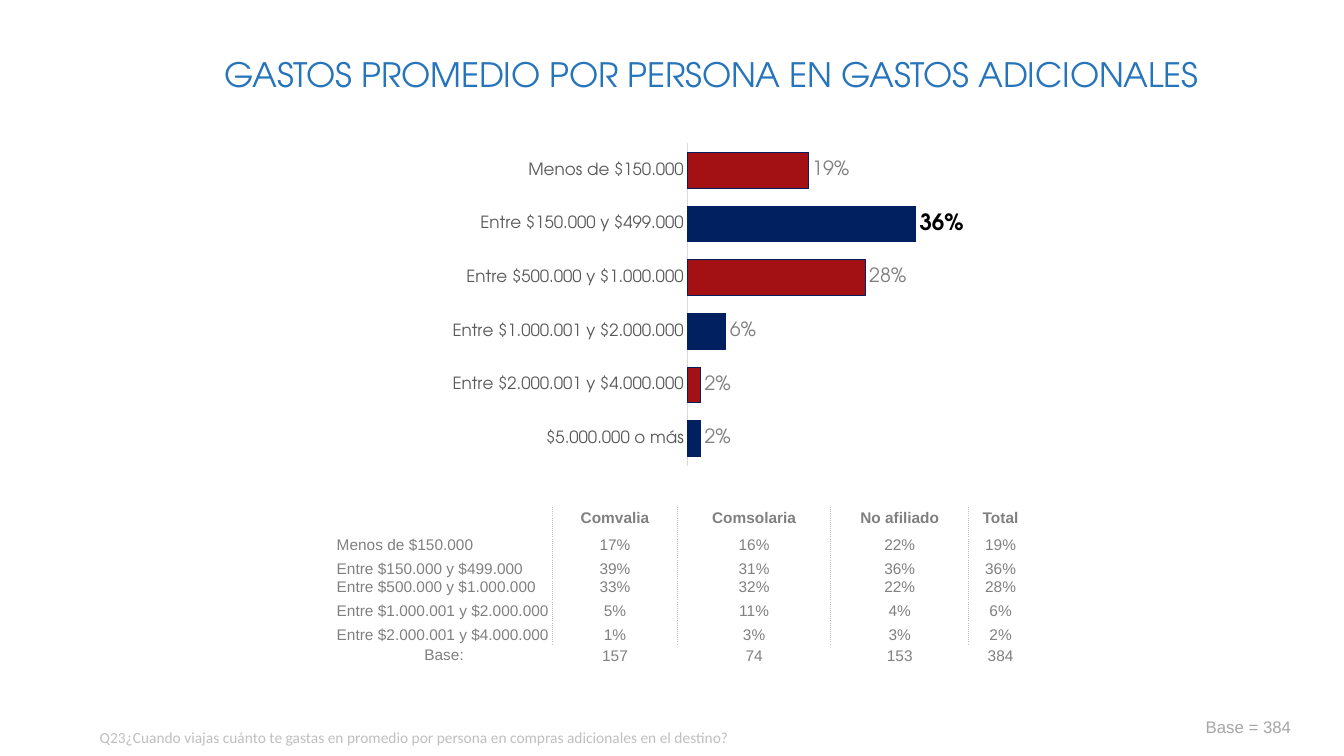
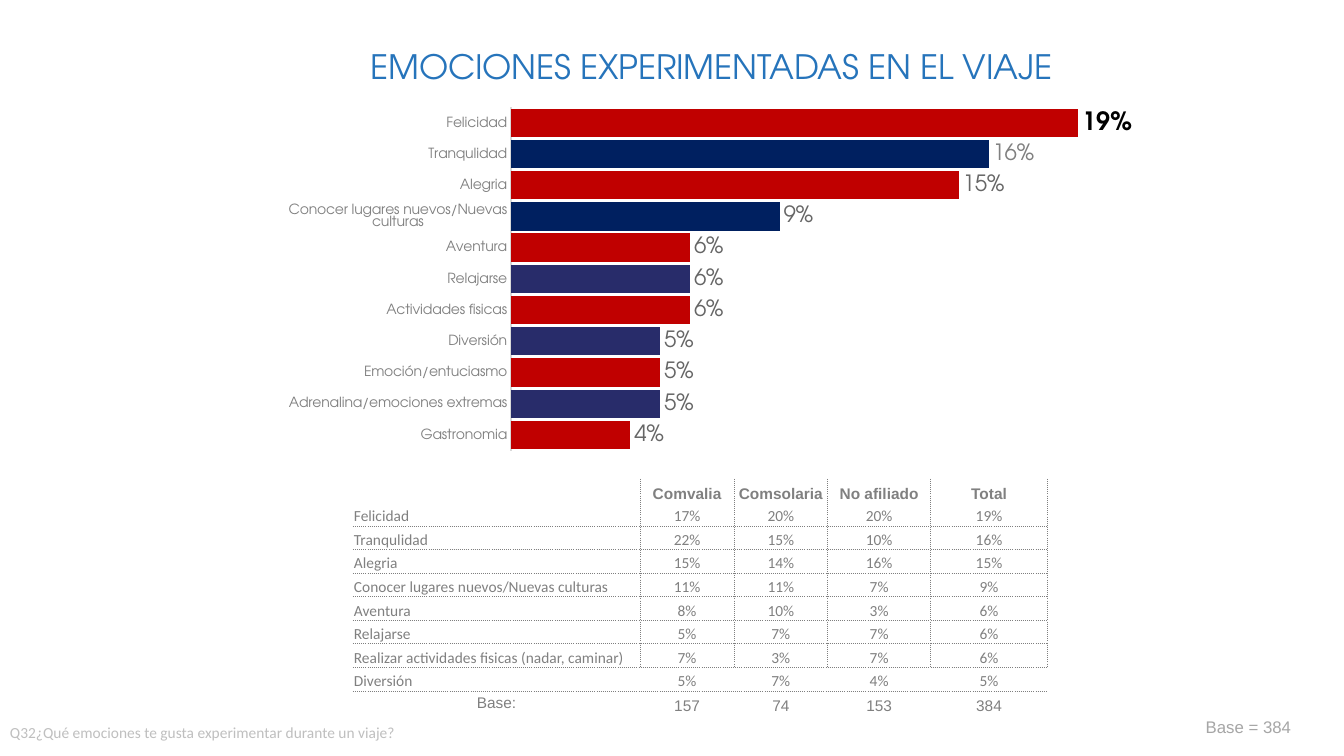
"""Build two survey result slides, each with a bar chart and a breakdown table."""
from dataclasses import dataclass
from typing import Any

from lxml import etree
from pptx import Presentation
from pptx import util as u
from pptx.chart import data as chart_data
from pptx.dml import color as dml
from pptx.enum import chart as ch
from pptx.enum import text as tx
from pptx.oxml import ns


@dataclass(frozen=True)
class Theme:
    display: str = "TeX Gyre Adventor"
    plain: str = "Arial"
    body: str = "Calibri"
    title: str = "2674BB"
    navy: str = "002060"
    indigo: str = "282C6A"
    crimson: str = "A31115"
    red: str = "C00000"
    black: str = "000000"
    dark: str = "595959"
    label: str = "666666"
    gray: str = "808080"
    rule: str = "7F7F7F"
    base: str = "A6A6A6"
    pale: str = "BFBFBF"
    axis: str = "D9D9D9"
    title_size: float = 24
    base_size: float = 12
    small_size: float = 11


THEME = Theme()
NO_GRID_STYLE = "{2D5ABB26-0587-4C30-8999-92F81FD0307C}"


@dataclass(frozen=True)
class Box:
    left: float
    top: float
    width: float
    height: float

    def lengths(self) -> tuple[u.Length, ...]:
        return tuple(u.Inches(v) for v in (self.left, self.top, self.width, self.height))


@dataclass(frozen=True)
class Emphasis:
    point: int
    size: float
    color: str
    bold: bool


@dataclass(frozen=True)
class BarChart:
    box: Box
    plot: tuple[float, float, float, float]
    bars: list[tuple[str, float, str]]
    maximum: float
    gap: int
    overlap: int
    reverse: bool
    outline: str | None
    category_size: float
    category_color: str
    label_size: float
    label_color: str
    emphasis: list[Emphasis]


@dataclass(frozen=True)
class Breakdown:
    left: float
    top: float
    columns: list[float]
    rows: list[float]
    body: list[tuple[str, ...]]
    body_font: str
    header_anchor: Any
    rule: tuple[str, float, str]
    ruled_columns: int
    ruled_rows: int
    horizontal: range


@dataclass(frozen=True)
class Page:
    title: str
    title_box: Box
    question: str
    question_box: Box
    chart: BarChart
    table: Breakdown


def style_font(font: Any, *, size: float, name: str, color: str, bold: bool = False) -> None:
    font.size, font.name, font.bold = u.Pt(size), name, bold
    font.color.rgb = dml.RGBColor.from_string(color)


def write_text(frame: Any, text: str, *, size: float = THEME.small_size, name: str = THEME.plain,
               color: str = THEME.gray, bold: bool = False, align: Any = tx.PP_ALIGN.LEFT,
               before: float = 0, spacing: int = 0) -> None:
    paragraph = frame.paragraphs[0]
    paragraph.alignment = align
    paragraph.space_before = u.Pt(before)
    if not text:
        etree.SubElement(paragraph._p, ns.qn("a:endParaRPr"), sz=str(int(size * 100)))
        return
    run = paragraph.add_run()
    run.text = text
    style_font(run.font, size=size, name=name, color=color, bold=bold)
    if spacing:
        run.font._element.set("spc", str(spacing))


def add_note(slide: Any, box: Box, text: str, *, size: float, name: str, color: str,
             wrap: bool) -> None:
    frame = slide.shapes.add_textbox(*box.lengths()).text_frame
    frame.word_wrap = wrap
    write_text(frame, text, size=size, name=name, color=color)


def place_title(slide: Any, page: Page) -> None:
    title = slide.shapes.title
    title.left, title.top, title.width, title.height = page.title_box.lengths()
    frame = title.text_frame
    frame.auto_size = tx.MSO_AUTO_SIZE.NONE
    frame.vertical_anchor = tx.MSO_ANCHOR.TOP
    frame.margin_left = frame.margin_right = frame.margin_bottom = 0
    frame.margin_top = u.Inches(0.01)
    write_text(frame, page.title, size=THEME.title_size, name=THEME.display, color=THEME.title,
               align=tx.PP_ALIGN.CENTER, before=1, spacing=-10)


def set_plot_area(chart: Any, plot: tuple[float, float, float, float]) -> None:
    area = chart._chartSpace.find(".//" + ns.qn("c:plotArea"))
    for old in area.findall(ns.qn("c:layout")):
        area.remove(old)
    layout = etree.Element(ns.qn("c:layout"))
    manual = etree.SubElement(layout, ns.qn("c:manualLayout"))
    settings = [("layoutTarget", "inner"), ("xMode", "edge"), ("yMode", "edge")]
    for tag, value in settings + list(zip("xywh", plot)):
        etree.SubElement(manual, ns.qn(f"c:{tag}"), val=str(value))
    area.insert(0, layout)


def paint_bar(target: Any, color: str, outline: str | None) -> None:
    target.format.fill.solid()
    target.format.fill.fore_color.rgb = dml.RGBColor.from_string(color)
    if outline:
        target.format.line.color.rgb = dml.RGBColor.from_string(outline)
        target.format.line.width = u.Pt(0.75)
    else:
        target.format.line.fill.background()


def add_bar_chart(slide: Any, design: BarChart) -> None:
    data = chart_data.CategoryChartData(number_format="0%")
    data.categories = [name for name, _, _ in design.bars]
    data.add_series("Series 1", [value for _, value, _ in design.bars])
    chart = slide.shapes.add_chart(
        ch.XL_CHART_TYPE.BAR_CLUSTERED, *design.box.lengths(), data).chart
    chart.has_legend = chart.has_title = False
    style_font(chart.font, size=10, name=THEME.body, color=THEME.black)
    set_plot_area(chart, design.plot)

    category, value = chart.category_axis, chart.value_axis
    category.reverse_order = design.reverse
    style_font(category.tick_labels.font, size=design.category_size, name=THEME.display,
               color=design.category_color)
    category.format.line.color.rgb = dml.RGBColor.from_string(THEME.axis)
    category.format.line.width = u.Pt(0.75)
    value.minimum_scale, value.maximum_scale = 0, design.maximum
    value.tick_label_position = ch.XL_TICK_LABEL_POSITION.NONE
    value.format.line.fill.background()
    for axis in (category, value):
        axis.has_major_gridlines = False
        axis.major_tick_mark = axis.minor_tick_mark = ch.XL_TICK_MARK.NONE

    plot = chart.plots[0]
    plot.vary_by_categories = False
    plot.gap_width, plot.overlap = design.gap, design.overlap
    series = plot.series[0]
    series.invert_if_negative = False
    paint_bar(series, design.bars[0][2], design.outline)
    for index, (_, _, color) in enumerate(design.bars):
        paint_bar(series.points[index], color, design.outline)

    labels = series.data_labels
    labels.show_value = True
    labels.number_format, labels.number_format_is_linked = "0%", False
    labels.position = ch.XL_LABEL_POSITION.OUTSIDE_END
    style_font(labels.font, size=design.label_size, name=THEME.display, color=design.label_color)
    for item in design.emphasis:
        label = series.points[item.point].data_label
        style_font(label.font, size=item.size, name=THEME.display, color=item.color,
                   bold=item.bold)
        label.position = ch.XL_LABEL_POSITION.OUTSIDE_END


def rule_cell(cell: Any, sides: dict[str, bool], rule: tuple[str, float, str]) -> None:
    color, width, dash = rule
    properties = cell._tc.get_or_add_tcPr()
    for side, shown in sides.items():
        line = etree.SubElement(properties, ns.qn(f"a:ln{side}"), w=str(u.Pt(width)))
        if shown:
            fill = etree.SubElement(line, ns.qn("a:solidFill"))
            etree.SubElement(fill, ns.qn("a:srgbClr"), val=color)
            etree.SubElement(line, ns.qn("a:prstDash"), val=dash)
        else:
            etree.SubElement(line, ns.qn("a:noFill"))


def add_breakdown(slide: Any, design: Breakdown) -> None:
    content = [("", "Comvalia", "Comsolaria", "No afiliado", "Total"), *design.body,
               ("Base:", "157", "74", "153", "384")]
    last = len(content) - 1
    box = Box(design.left, design.top, sum(design.columns), sum(design.rows))
    table = slide.shapes.add_table(len(content), len(design.columns), *box.lengths()).table
    table.first_row = table.horz_banding = False
    table._tbl.tblPr.find(ns.qn("a:tableStyleId")).text = NO_GRID_STYLE
    for column, width in zip(table.columns, design.columns):
        column.width = u.Inches(width)
    for row, height in zip(table.rows, design.rows):
        row.height = u.Inches(height)
    for r, texts in enumerate(content):
        for c, text in enumerate(texts):
            cell = table.cell(r, c)
            cell.margin_left = cell.margin_right = cell.margin_top = u.Inches(0.01)
            cell.margin_bottom = 0
            cell.vertical_anchor = tx.MSO_ANCHOR.BOTTOM
            if r == 0:
                cell.vertical_anchor = design.header_anchor
            elif r == last and c == 0:
                cell.vertical_anchor = tx.MSO_ANCHOR.MIDDLE
            ruled = r < design.ruled_rows
            sides = {"L": ruled and 0 < c <= design.ruled_columns,
                     "R": ruled and c < design.ruled_columns,
                     "T": r - 1 in design.horizontal, "B": r in design.horizontal}
            rule_cell(cell, sides, design.rule)
            cell.fill.background()
            write_text(cell.text_frame, text, bold=r == 0,
                       name=THEME.plain if r in (0, last) else design.body_font,
                       align=tx.PP_ALIGN.LEFT if c == 0 and r < last else tx.PP_ALIGN.CENTER)


SPENDING = Page(
    "GASTOS PROMEDIO POR PERSONA EN GASTOS ADICIONALES", Box(2, 0.52, 10.11, 0.82),
    "Q23¿Cuando viajas cuánto te gastas en promedio por persona en compras adicionales "
    "en el destino?", Box(0.89, 7.17, 11.56, 0.29),
    BarChart(
        Box(3.91, 1.27, 5.77, 3.5), (0.505, 0.044, 0.435, 0.913),
        [("$5.000.000 o más", 0.02, THEME.navy),
         ("Entre $2.000.001 y $4.000.000", 0.02, THEME.crimson),
         ("Entre $1.000.001 y $2.000.000", 0.06, THEME.navy),
         ("Entre $500.000 y $1.000.000", 0.28, THEME.crimson),
         ("Entre $150.000 y $499.000", 0.36, THEME.navy),
         ("Menos de $150.000", 0.19, THEME.crimson)],
        maximum=0.4, gap=50, overlap=0, reverse=False, outline=THEME.navy,
        category_size=12, category_color=THEME.dark, label_size=14, label_color=THEME.gray,
        emphasis=[Emphasis(4, 16, THEME.black, True)]),
    Breakdown(
        3.33, 5.03, [2.15, 1.24, 1.52, 1.37, 0.63], [0.22, 0.24, 0.24, 0.18, 0.24, 0.24, 0.21],
        [("Menos de $150.000", "17%", "16%", "22%", "19%"),
         ("Entre $150.000 y $499.000", "39%", "31%", "36%", "36%"),
         ("Entre $500.000 y $1.000.000", "33%", "32%", "22%", "28%"),
         ("Entre $1.000.001 y $2.000.000", "5%", "11%", "4%", "6%"),
         ("Entre $2.000.001 y $4.000.000", "1%", "3%", "3%", "2%")],
        THEME.plain, tx.MSO_ANCHOR.MIDDLE, (THEME.pale, 1, "sysDot"),
        ruled_columns=4, ruled_rows=6, horizontal=range(0)))

EMOTIONS = Page(
    "EMOCIONES EXPERIMENTADAS EN EL VIAJE", Box(2, 0.45, 10.11, 0.42),
    "Q32¿Qué emociones te gusta experimentar durante un viaje?", Box(0, 7.12, 11.56, 0.29),
    BarChart(
        Box(2.58, 0.67, 8.67, 3.98), (0.287, 0.099, 0.683, 0.856),
        [("Felicidad", 0.19, THEME.red), ("Tranqulidad", 0.16, THEME.navy),
         ("Alegria", 0.15, THEME.red),
         ("Conocer lugares nuevos/Nuevas culturas", 0.09, THEME.navy),
         ("Aventura", 0.06, THEME.red), ("Relajarse", 0.06, THEME.indigo),
         ("Actividades fisicas", 0.06, THEME.red), ("Diversión", 0.05, THEME.indigo),
         ("Emoción/entuciasmo", 0.05, THEME.red),
         ("Adrenalina/emociones extremas", 0.05, THEME.indigo),
         ("Gastronomia", 0.04, THEME.red)],
        maximum=0.2, gap=10, overlap=32, reverse=True, outline=None,
        category_size=10, category_color=THEME.gray, label_size=16, label_color=THEME.label,
        emphasis=[Emphasis(0, 18, THEME.black, True), Emphasis(1, 16, THEME.gray, False)]),
    Breakdown(
        3.5, 4.75, [2.85, 0.93, 0.93, 1.02, 1.16], [2.34 / 10] * 10,
        [("Felicidad", "17%", "20%", "20%", "19%"),
         ("Tranqulidad", "22%", "15%", "10%", "16%"),
         ("Alegria", "15%", "14%", "16%", "15%"),
         ("Conocer lugares nuevos/Nuevas culturas", "11%", "11%", "7%", "9%"),
         ("Aventura", "8%", "10%", "3%", "6%"),
         ("Relajarse", "5%", "7%", "7%", "6%"),
         ("Realizar actividades fisicas (nadar, caminar)", "7%", "3%", "7%", "6%"),
         ("Diversión", "5%", "7%", "4%", "5%")],
        THEME.body, tx.MSO_ANCHOR.BOTTOM, (THEME.rule, 0.5, "dot"),
        ruled_columns=5, ruled_rows=8, horizontal=range(1, 9)))


def main() -> None:
    presentation = Presentation()
    presentation.slide_width, presentation.slide_height = u.Inches(13.33), u.Inches(7.5)
    for page in (SPENDING, EMOTIONS):
        slide = presentation.slides.add_slide(presentation.slide_layouts[5])
        add_bar_chart(slide, page.chart)
        add_breakdown(slide, page.table)
        add_note(slide, Box(11.86, 7.06, 1.06, 0.3), "Base = 384", size=THEME.base_size,
                 name=THEME.plain, color=THEME.base, wrap=False)
        add_note(slide, page.question_box, page.question, size=THEME.small_size,
                 name=THEME.body, color=THEME.pale, wrap=True)
        place_title(slide, page)
    presentation.save("out.pptx")


if __name__ == "__main__":
    main()
